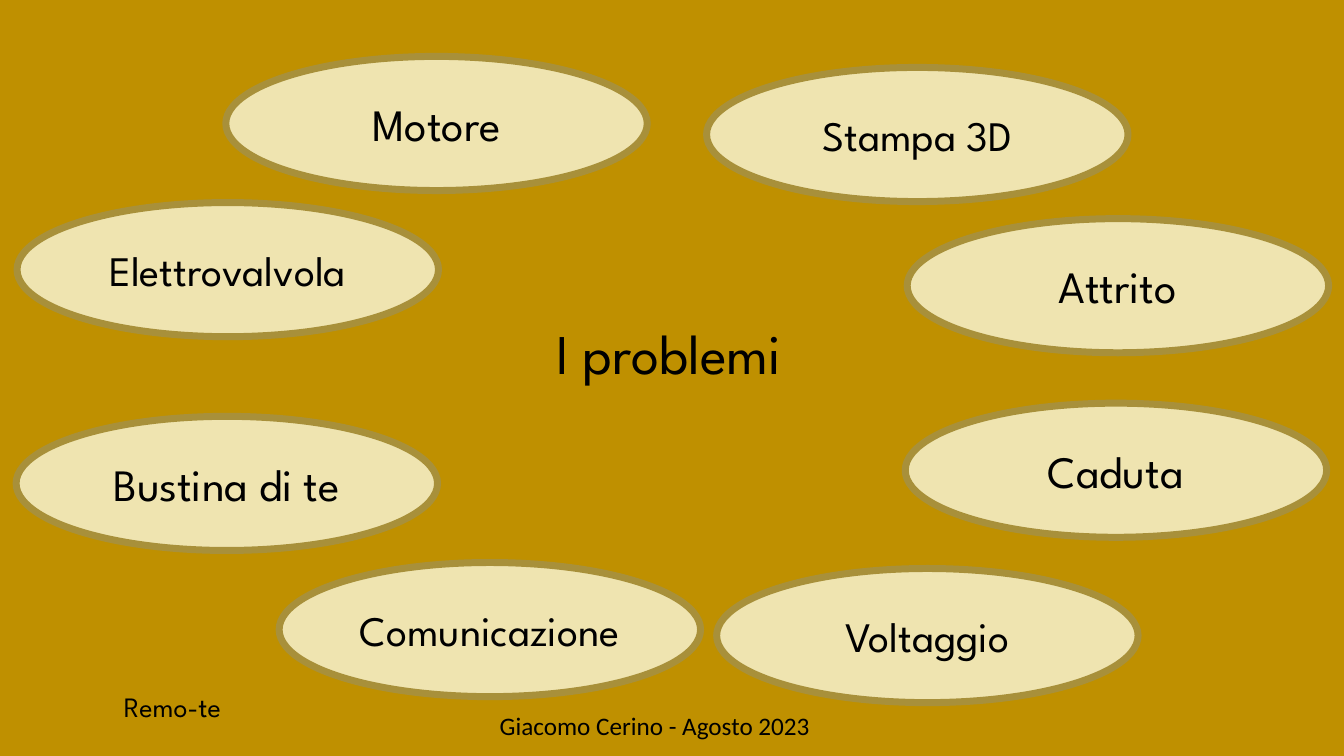
from dataclasses import dataclass

from pptx import Presentation
from pptx.dml.color import RGBColor
from pptx.enum import shapes, text
from pptx.util import Pt

TITLE = ("I problemi", (346.3, 223.2, 262.8, 56.9))

# Label, left, top, type size
PROBLEMS = [
    ("Stampa 3D", 504.7, 48.2, 30),
    ("Elettrovalvola", 12.2, 144.7, 30),
    ("Bustina di te", 11.5, 297.4, 32),
    ("Comunicazione", 199.4, 401.8, 30),
    ("Attrito", 648, 156.2, 32),
    ("Voltaggio", 511.9, 406.1, 30),
    ("Motore", 161.3, 40.3, 32),
    ("Caduta", 646.6, 288, 32),
]
BUBBLE_SIZE = (301, 95.8)

PROJECT = ("Remo-te", (81.4, 488.9, 100.8, 31.7))
CREDIT = ("Giacomo Cerino - Agosto 2023", (345.6, 504, 244.1, 28.8))


@dataclass(frozen=True)
class Theme:
    background: RGBColor = RGBColor.from_string("BF9000")
    bubble: RGBColor = RGBColor.from_string("EFE4B0")
    outline: RGBColor = RGBColor.from_string("A8903A")
    ink: RGBColor = RGBColor.from_string("000000")
    font: str = "League Spartan"
    credit_font: str = "Calibri"
    title_size: int = 40
    project_size: int = 20
    credit_size: int = 18
    outline_width: int = 5


THEME = Theme()
CENTER, LEFT = text.PP_ALIGN.CENTER, text.PP_ALIGN.LEFT
MIDDLE, TOP = text.MSO_ANCHOR.MIDDLE, text.MSO_ANCHOR.TOP


def points(*lengths):
    return [Pt(length) for length in lengths]


def write(shape, words, size, font=THEME.font, align=CENTER, anchor=MIDDLE):
    frame = shape.text_frame
    frame.text = words
    frame.word_wrap = True
    frame.auto_size = text.MSO_AUTO_SIZE.NONE
    frame.vertical_anchor = anchor
    paragraph = frame.paragraphs[0]
    paragraph.alignment = align
    paragraph.font.name = font
    paragraph.font.size = Pt(size)
    paragraph.font.color.rgb = THEME.ink


def add_title(slide):
    words, box = TITLE
    title = slide.shapes.title
    title.left, title.top, title.width, title.height = points(*box)
    write(title, words, THEME.title_size)


def add_bubble(slide, label, left, top, size):
    bubble = slide.shapes.add_shape(
        shapes.MSO_SHAPE.OVAL, *points(left, top, *BUBBLE_SIZE))
    bubble.shadow.inherit = False
    bubble.fill.solid()
    bubble.fill.fore_color.rgb = THEME.bubble
    bubble.line.color.rgb = THEME.outline
    bubble.line.width = Pt(THEME.outline_width)
    write(bubble, label, size)


def add_caption(slide, caption, size, font, align):
    words, box = caption
    write(slide.shapes.add_textbox(*points(*box)), words, size, font, align, TOP)


def main():
    presentation = Presentation()
    presentation.slide_width, presentation.slide_height = points(960, 540)
    slide = presentation.slides.add_slide(presentation.slide_layouts[5])
    slide.background.fill.solid()
    slide.background.fill.fore_color.rgb = THEME.background

    add_title(slide)
    for problem in PROBLEMS:
        add_bubble(slide, *problem)
    add_caption(slide, PROJECT, THEME.project_size, THEME.font, LEFT)
    add_caption(slide, CREDIT, THEME.credit_size, THEME.credit_font, CENTER)
    presentation.save("out.pptx")


if __name__ == "__main__":
    main()
